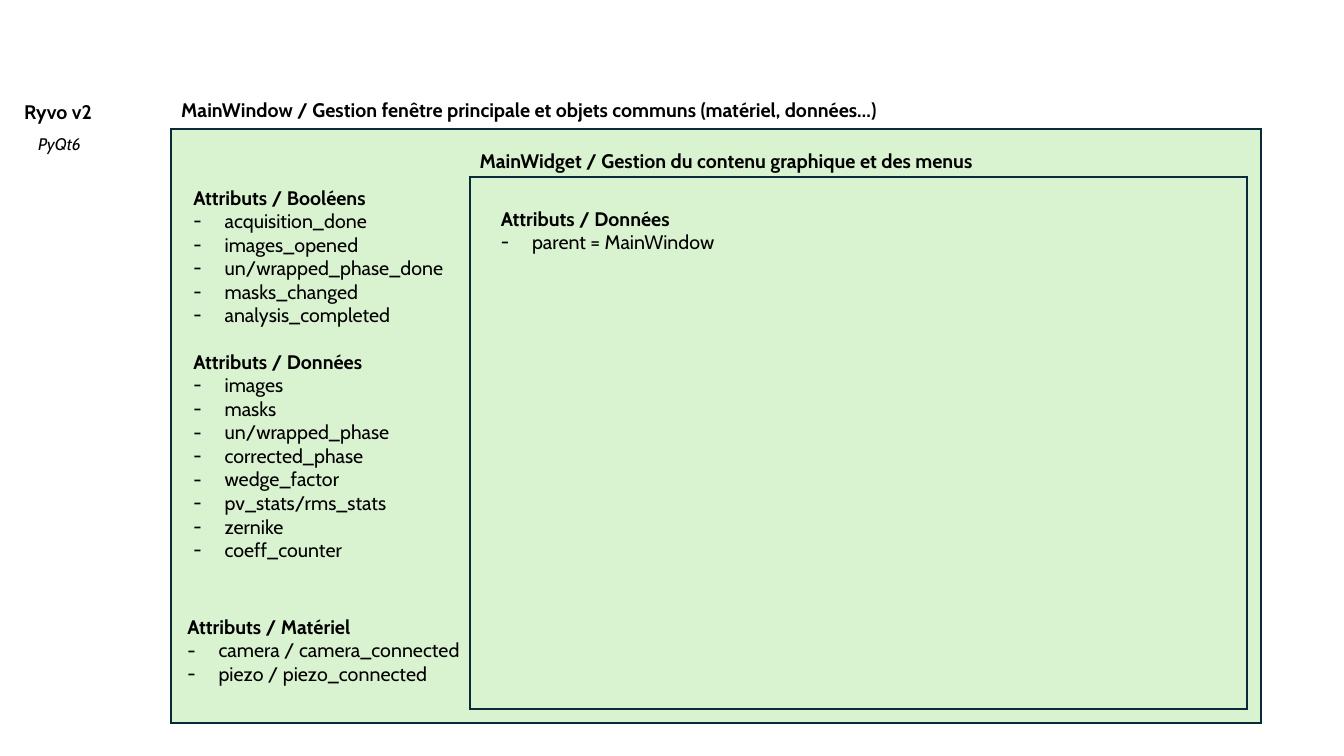
from lxml import etree
from pptx import Presentation, util as u
from pptx.dml.color import RGBColor
from pptx.enum import shapes, text
from pptx.oxml.ns import qn

COLORS = {"ink": "000000", "panel": "D9F2D0", "border": "092A39"}
FONT = "Cabin"


def write(paragraph, content, size=14, bold=False, italic=False,
          color="ink", font=FONT):
    run = paragraph.add_run()
    run.text = content
    style = run.font
    style.name, style.size = font, u.Pt(size)
    style.bold, style.italic = bold, italic
    style.color.rgb = RGBColor.from_string(COLORS[color])


class ClassDiagram:
    """Places elements by percentages of the slide's width and height."""

    indent = u.Inches(0.31)
    border = u.Pt(1.5)

    def __init__(self):
        self.deck = Presentation()
        self.deck.slide_width = u.Inches(13.33)
        self.deck.slide_height = u.Inches(7.5)
        self.slide = self.deck.slides.add_slide(self.deck.slide_layouts[6])

    def area(self, left, top, width, height):
        column = self.deck.slide_width / 100
        row = self.deck.slide_height / 100
        return (round(left * column), round(top * row),
                round(width * column), round(height * row))

    def panel(self, *place):
        panel = self.slide.shapes.add_shape(
            shapes.MSO_SHAPE.RECTANGLE, *self.area(*place))
        panel.shadow.inherit = False
        panel.fill.solid()
        panel.fill.fore_color.rgb = RGBColor.from_string(COLORS["panel"])
        panel.line.color.rgb = RGBColor.from_string(COLORS["border"])
        panel.line.width = self.border
        # Square corners
        outline = panel._element.spPr.find(qn("a:ln"))
        etree.SubElement(outline, qn("a:miter")).set("lim", "800000")

    def label(self, content, *place, wrap=True, bold=True, **style):
        frame = self.slide.shapes.add_textbox(*self.area(*place)).text_frame
        frame.word_wrap = wrap
        frame.auto_size = text.MSO_AUTO_SIZE.SHAPE_TO_FIT_TEXT
        write(frame.paragraphs[0], content, bold=bold, **style)
        return frame

    def attributes(self, heading, members, *place):
        frame = self.label(f"Attributs / {heading}", *place)
        for member in members:
            item = frame.add_paragraph()
            props = item._p.get_or_add_pPr()
            props.set("marL", str(self.indent))
            props.set("indent", str(-self.indent))
            etree.SubElement(props, qn("a:buFont")).set("typeface", FONT)
            etree.SubElement(props, qn("a:buChar")).set("char", "-")
            write(item, member)


def main():
    diagram = ClassDiagram()

    # Application name and toolkit
    diagram.label("Ryvo v2", 1.05, 12.53, 8, 4.53)
    diagram.label("PyQt6", 2.1, 17.07, 4.8, 4, wrap=False,
                  size=12, bold=False, italic=True)

    # Main window
    diagram.panel(12.75, 17.07, 81.08, 78.53)
    diagram.label("MainWindow / Gestion fenêtre principale et objets communs "
                  "(matériel, données…)", 12.75, 12.27, 61.8, 4.53)

    # Main widget, nested in the window
    diagram.label("MainWidget / Gestion du contenu graphique et des menus",
                  34.95, 19.07, 49.65, 4.53)
    diagram.panel(34.95, 23.47, 57.83, 70.27)

    # Attributes of the window
    diagram.attributes(
        "Booléens",
        ["acquisition_done", "images_opened", "un/wrapped_phase_done",
         "masks_changed", "analysis_completed"],
        13.65, 23.87, 21.3, 20.13)
    diagram.attributes(
        "Données",
        ["images", "masks", "un/wrapped_phase", "corrected_phase",
         "wedge_factor", "pv_stats/rms_stats", "zernike", "coeff_counter"],
        13.65, 45.6, 18.83, 29.6)
    diagram.attributes(
        "Matériel",
        ["camera / camera_connected", "piezo / piezo_connected"],
        13.2, 80.67, 23.33, 10.8)

    # Attributes of the widget
    diagram.attributes("Données", ["parent = MainWindow"],
                       36.53, 26.67, 18.83, 7.6)

    diagram.deck.save("out.pptx")


if __name__ == "__main__":
    main()
